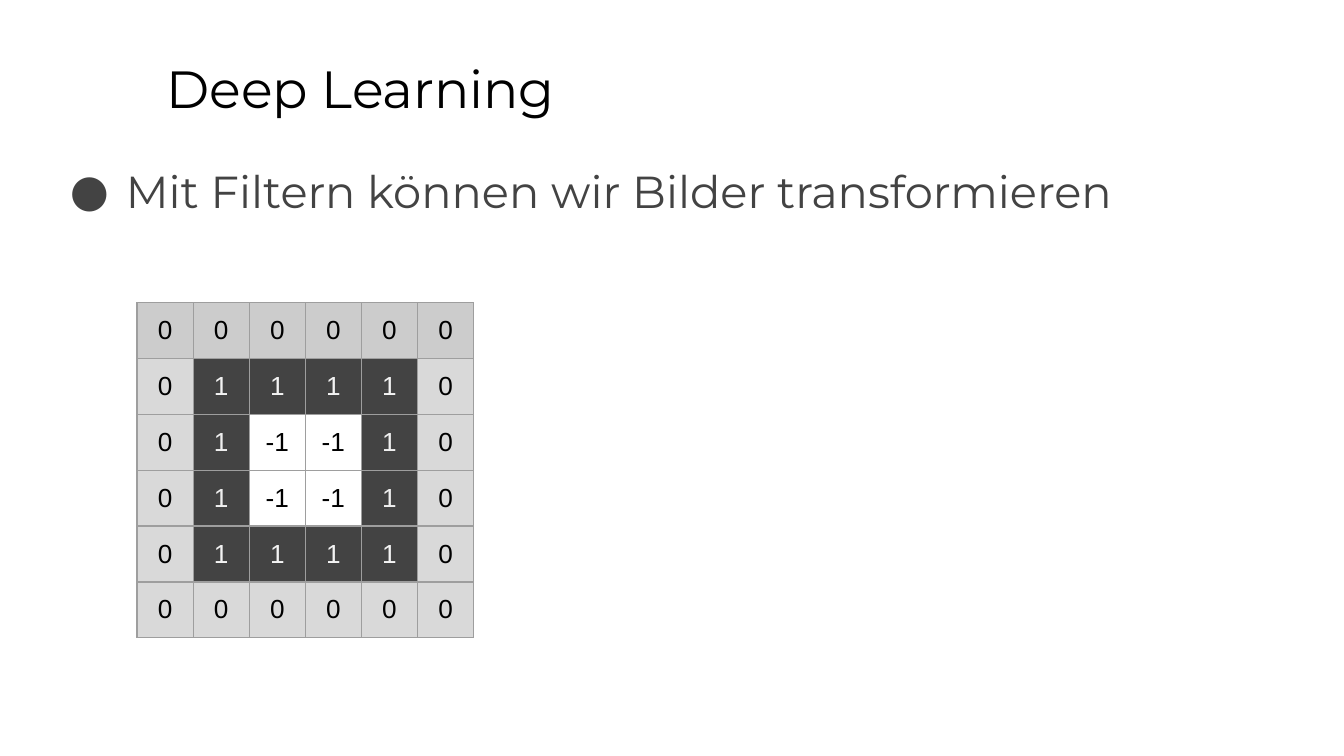
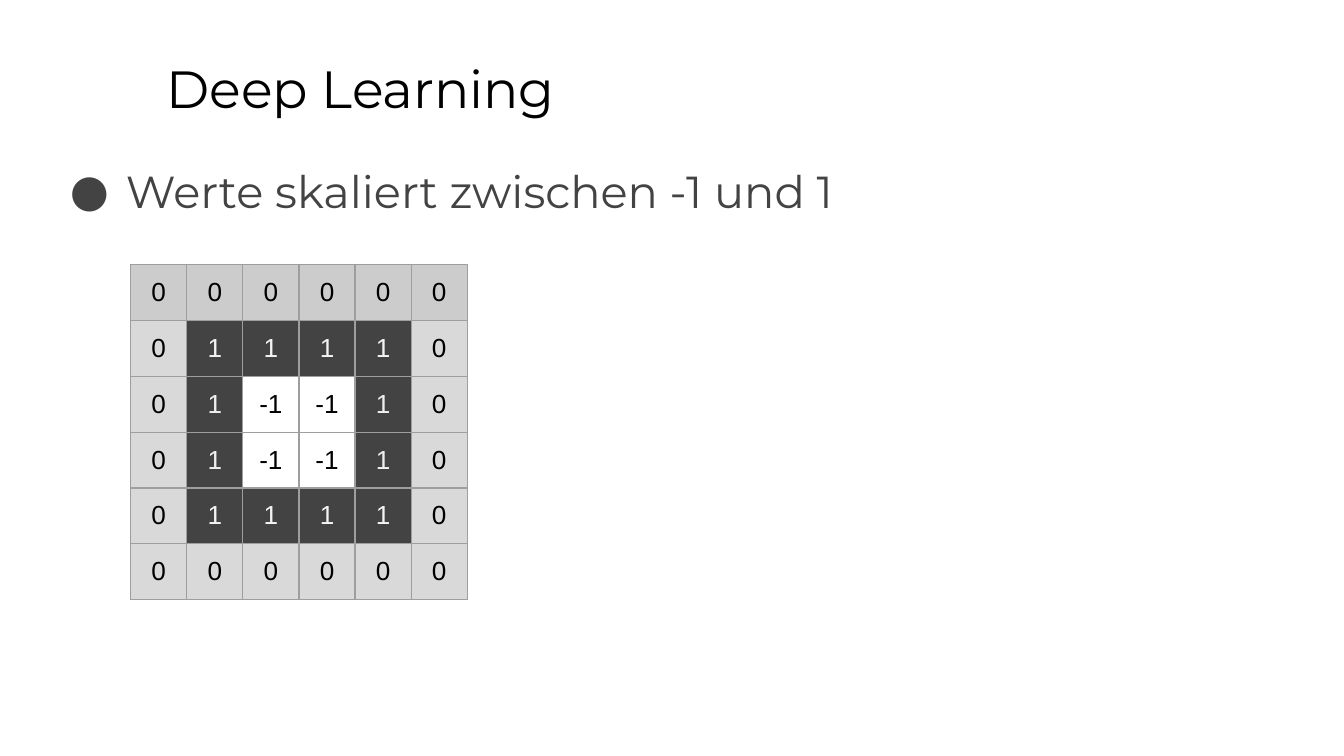
from lxml import etree
from pptx import Presentation
from pptx import util as u
from pptx.dml.color import RGBColor
from pptx.enum import text
from pptx.oxml.ns import qn

COLORS = {
    "title": "000000",
    "body": "434343",
    "grid": "9E9E9E",
    "top_row": "CCCCCC",
    "background": "D9D9D9",
    "ring": "434343",
    "number": "000000",
    "ring_edge_number": "F3F3F3",
    "ring_side_number": "EFEFEF",
}
INSET = u.Cm(0.25)
COLUMN_WIDTH, ROW_HEIGHT = u.Cm(1.06), u.Cm(1.02)
PIXELS = [
    [0, 0, 0, 0, 0, 0],
    [0, 1, 1, 1, 1, 0],
    [0, 1, -1, -1, 1, 0],
    [0, 1, -1, -1, 1, 0],
    [0, 1, 1, 1, 1, 0],
    [0, 0, 0, 0, 0, 0],
]
# statement, left and top of the pixel grid in centimetres
SLIDES = [
    ("Mit Filtern können wir Bilder transformieren", 2.59, 5.72),
    ("Werte skaliert zwischen -1 und 1", 2.47, 5.0),
]


def write(frame, words, font, size, color):
    frame.text = words
    frame.word_wrap = True
    paragraph = frame.paragraphs[0]
    for run in paragraph.runs:
        run.font.name = font
        run.font.size = u.Pt(size)
        run.font.color.rgb = RGBColor.from_string(COLORS[color])
    return paragraph


def add_color(parent, tag, color):
    holder = etree.SubElement(parent, qn(tag))
    etree.SubElement(holder, qn("a:srgbClr"), val=COLORS[color])


prs = Presentation()
prs.slide_width, prs.slide_height = u.Cm(25.4), u.Cm(14.29)

for statement, grid_left, grid_top in SLIDES:
    slide = prs.slides.add_slide(prs.slide_layouts[1])
    title, body = slide.shapes.title, slide.placeholders[1]
    title.left, title.top, title.width, title.height = (
        u.Cm(2.9), u.Cm(0.81), u.Cm(21.64), u.Cm(1.6))
    body.left, body.top, body.width, body.height = (
        u.Cm(0.86), u.Cm(2.69), u.Cm(23.67), u.Cm(1.73))

    for placeholder in (title, body):
        frame = placeholder.text_frame
        frame.margin_left = frame.margin_right = INSET
        frame.margin_top = frame.margin_bottom = INSET
        frame.vertical_anchor = text.MSO_ANCHOR.TOP
        frame.auto_size = text.MSO_AUTO_SIZE.NONE

    heading = write(title.text_frame, "Deep Learning", "Montserrat", 28, "title")
    heading.alignment = text.PP_ALIGN.LEFT

    bullet = write(body.text_frame, statement, "Montserrat", 24, "body")
    properties = bullet._p.get_or_add_pPr()
    properties.set("marL", str(u.Cm(1.27)))
    properties.set("indent", str(-u.Cm(1.06)))
    add_color(properties, "a:buClr", "body")
    etree.SubElement(properties, qn("a:buFont"), typeface="Montserrat")
    etree.SubElement(properties, qn("a:buChar"), char="●")
    bullet.line_spacing = 1.15
    bullet.space_before = u.Pt(0)

    rows, columns = len(PIXELS), len(PIXELS[0])
    grid = slide.shapes.add_table(
        rows, columns, u.Cm(grid_left), u.Cm(grid_top),
        COLUMN_WIDTH * columns, ROW_HEIGHT * rows).table
    grid.first_row = grid.horz_banding = False
    for column in grid.columns:
        column.width = COLUMN_WIDTH
    for row in grid.rows:
        row.height = ROW_HEIGHT

    for row, values in enumerate(PIXELS):
        for column, value in enumerate(values):
            cell = grid.cell(row, column)
            cell.margin_left = cell.margin_right = INSET
            cell.margin_top = cell.margin_bottom = INSET
            for side in ("a:lnL", "a:lnR", "a:lnT", "a:lnB"):
                border = etree.SubElement(
                    cell._tc.get_or_add_tcPr(), qn(side), w=str(u.Pt(0.75)))
                add_color(border, "a:solidFill", "grid")

            fill, ink = "background", "number"
            if row == 0:
                fill = "top_row"
            elif value == 1:
                fill = "ring"
                ink = "ring_edge_number" if row in (1, 4) else "ring_side_number"
            if value == -1:
                cell.fill.background()
            else:
                cell.fill.solid()
                cell.fill.fore_color.rgb = RGBColor.from_string(COLORS[fill])
            number = write(cell.text_frame, str(value), "Arial", 14, ink)
            number.alignment = text.PP_ALIGN.CENTER

prs.save("out.pptx")
